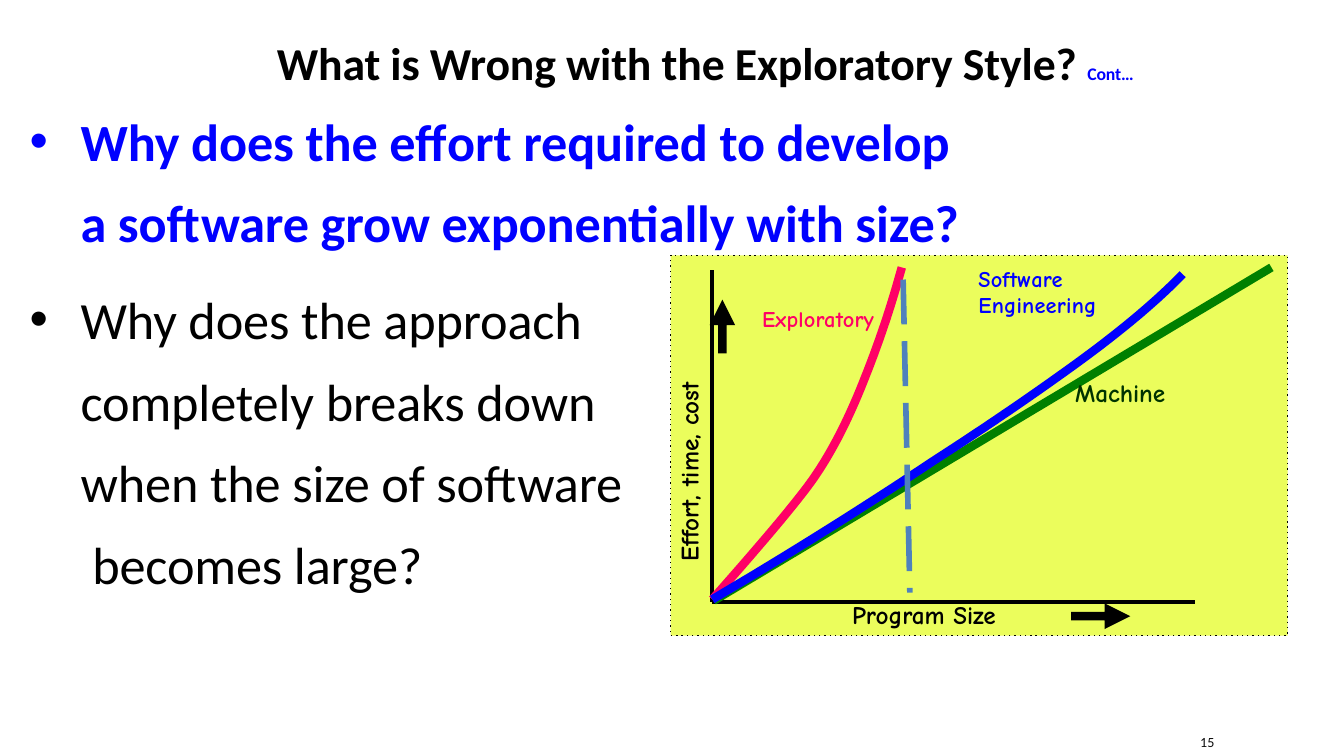
"""Build the slide on what is wrong with the exploratory style."""
from dataclasses import dataclass

from lxml import etree
from pptx import Presentation
from pptx import util as u
from pptx.dml.color import RGBColor
from pptx.enum import dml, shapes, text
from pptx.oxml.ns import qn

PX = 9144
CURVE_STEPS = 16


@dataclass(frozen=True)
class Theme:
    """Colours, fonts and type sizes of the deck."""
    ink: str = "000000"
    blue: str = "0000FF"
    pink: str = "FF0066"
    green: str = "008000"
    dark_green: str = "003300"
    steel: str = "4F81BC"
    panel: str = "EBFD5C"
    grey: str = "0D0D0D"
    body_font: str = "Calibri"
    chart_font: str = "Comic Neue"
    title: float = 24.5
    continued: float = 9.5
    body: float = 28
    axis: float = 13.5
    label: float = 12
    number: float = 7.5


THEME = Theme()


def px(*lengths):
    """Turn pixel lengths into EMU."""
    return [u.Emu(round(length * PX)) for length in lengths]


def place(box, area):
    """Move and size a box."""
    box.left, box.top, box.width, box.height = px(*area)


def write(box, words, font, size, color, bold=False, spacing=None, track=0, hang=0):
    """Fill a box with one formatted paragraph and return it."""
    frame = box.text_frame
    frame.word_wrap = True
    frame.auto_size = text.MSO_AUTO_SIZE.NONE
    frame.vertical_anchor = text.MSO_ANCHOR.TOP
    frame.margin_left = frame.margin_top = frame.margin_right = frame.margin_bottom = 0
    para = frame.paragraphs[0]
    para.text = words
    para.alignment = text.PP_ALIGN.LEFT
    para.space_before = u.Pt(0)
    if spacing:
        para.line_spacing = spacing
    properties = para._p.get_or_add_pPr()
    if hang:
        properties.set("marL", str(hang * PX))
        properties.set("indent", str(-hang * PX))
    para.font.name = font
    para.font.size = u.Pt(size)
    para.font.bold = bold
    para.font.color.rgb = RGBColor.from_string(color)
    properties.get_or_add_defRPr().set("spc", str(track))
    return para


def add_title(page):
    """Write the title with its small continuation mark."""
    box = page.shapes.title
    place(box, (206, 26, 643, 42))
    para = write(box, "What is Wrong with the Exploratory Style? ",
                 THEME.body_font, THEME.title, THEME.ink, bold=True, track=-6)
    span = para.add_run()
    span.text = "Cont…"
    span.font.size = u.Pt(THEME.continued)
    span.font.color.rgb = RGBColor.from_string(THEME.blue)


def add_question(box, area, words, color, bold, spacing):
    """Write one bulleted question in a body placeholder."""
    place(box, area)
    write(box, words, THEME.body_font, THEME.body, color, bold, spacing, track=-6, hang=38)


def add_label(page, area, words, size, color, font=THEME.chart_font, bold=True, track=0):
    """Add a text box with a short label."""
    box = page.shapes.add_textbox(*px(*area))
    write(box, words, font, size, color, bold, track=track)
    return box


def style_line(shape, color, width, dash=None):
    """Set the colour, width and dash of an outline."""
    shape.line.color.rgb = RGBColor.from_string(color)
    shape.line.width = u.Pt(width)
    if dash:
        shape.line.dash_style = dash


def add_line(page, ends, color, width, dash=None):
    """Add a straight line without a shadow."""
    line = page.shapes.add_connector(shapes.MSO_CONNECTOR.STRAIGHT, *px(*ends))
    style_line(line, color, width, dash)
    etree.SubElement(line._element.spPr, qn("a:effectLst"))


def add_curve(page, start, bends, color):
    """Add an open curve of quadratic bends, each a control point and an end."""
    points, here = [], start
    for control, end in bends:
        for step in range(1, CURVE_STEPS + 1):
            t = step / CURVE_STEPS
            points.append(px(*((1 - t) ** 2 * a + 2 * t * (1 - t) * b + t * t * c
                               for a, b, c in zip(here, control, end))))
        here = end
    builder = page.shapes.build_freeform(*px(*start))
    builder.add_line_segments(points, close=False)
    curve = builder.convert_to_shape()
    curve.shadow.inherit = False
    curve.fill.background()
    style_line(curve, color, 4.56)


def add_block(page, kind, area, color):
    """Add a filled preset shape without an outline."""
    block = page.shapes.add_shape(kind, *px(*area))
    block.shadow.inherit = False
    block.fill.solid()
    block.fill.fore_color.rgb = RGBColor.from_string(color)
    block.line.fill.background()
    return block


def add_arrow(page, kind, area):
    """Add a black block arrow with a thin shaft."""
    arrow = add_block(page, kind, area, THEME.ink)
    arrow.adjustments[0] = 0.33
    arrow.adjustments[1] = 1


def add_panel(page):
    """Add the yellow panel with its dotted outline."""
    panel = add_block(page, shapes.MSO_SHAPE.RECTANGLE, (499, 190, 459, 283), THEME.panel)
    style_line(panel, THEME.ink, 0.72, dml.MSO_LINE.ROUND_DOT)
    panel._element.spPr.find(qn("a:ln")).find(qn("a:prstDash")).set("val", "dot")


def add_graph(page):
    """Draw the effort against program size graph."""
    add_panel(page)
    add_line(page, (530, 201, 530, 448), THEME.ink, 2.28)
    add_line(page, (530, 448, 889, 448), THEME.ink, 2.28)
    add_line(page, (531, 447, 946, 199), THEME.green, 4.56)
    origin = (530, 446)
    add_curve(page, origin, [((593, 375), (608, 352)), ((626, 325), (642, 285)),
                             ((659, 243), (671, 199))], THEME.pink)
    add_curve(page, origin, [((615, 396), (696, 342)), ((755, 304), (807, 266)),
                             ((853, 232), (880, 204))], THEME.blue)
    add_arrow(page, shapes.MSO_SHAPE.UP_ARROW, (528, 223, 19, 40))
    add_arrow(page, shapes.MSO_SHAPE.RIGHT_ARROW, (797, 449, 44, 19))
    add_line(page, (672, 208, 677, 441), THEME.steel, 3, dml.MSO_LINE.LONG_DASH)
    add_label(page, (634, 446, 122, 25), "Program Size", THEME.axis, THEME.ink)
    effort = add_label(page, (501, 247, 29, 171), "Effort, time, cost", THEME.axis, THEME.ink)
    effort.text_frame._txBody.bodyPr.set("vert", "vert270")
    add_label(page, (567, 227, 97, 23), "Exploratory", THEME.label, THEME.pink, track=10)
    add_label(page, (728, 197, 94, 44), "Software\vEngineering", THEME.label, THEME.blue, track=10)
    add_label(page, (800, 281, 75, 25), "Machine", THEME.axis, THEME.dark_green)


def main():
    """Build and save the deck."""
    deck = Presentation()
    deck.slide_width = u.Inches(10)
    deck.slide_height = deck.slide_width * 9 // 16
    page = deck.slides.add_slide(deck.slide_layouts[3])
    add_title(page)
    add_question(page.placeholders[1], (22, 67, 827, 119),
                 "Why does the effort required to develop\va software grow exponentially with size?",
                 THEME.blue, True, u.Pt(43.7))
    add_question(page.placeholders[2], (22, 200, 445, 245),
                 "Why does the approach\vcompletely breaks down\vwhen the size of software\v becomes large?",
                 THEME.ink, False, 1.3)
    add_graph(page)
    add_label(page, (893, 546, 76, 13), "15", THEME.number, THEME.grey, THEME.body_font, False)
    deck.save("out.pptx")


if __name__ == "__main__":
    main()
